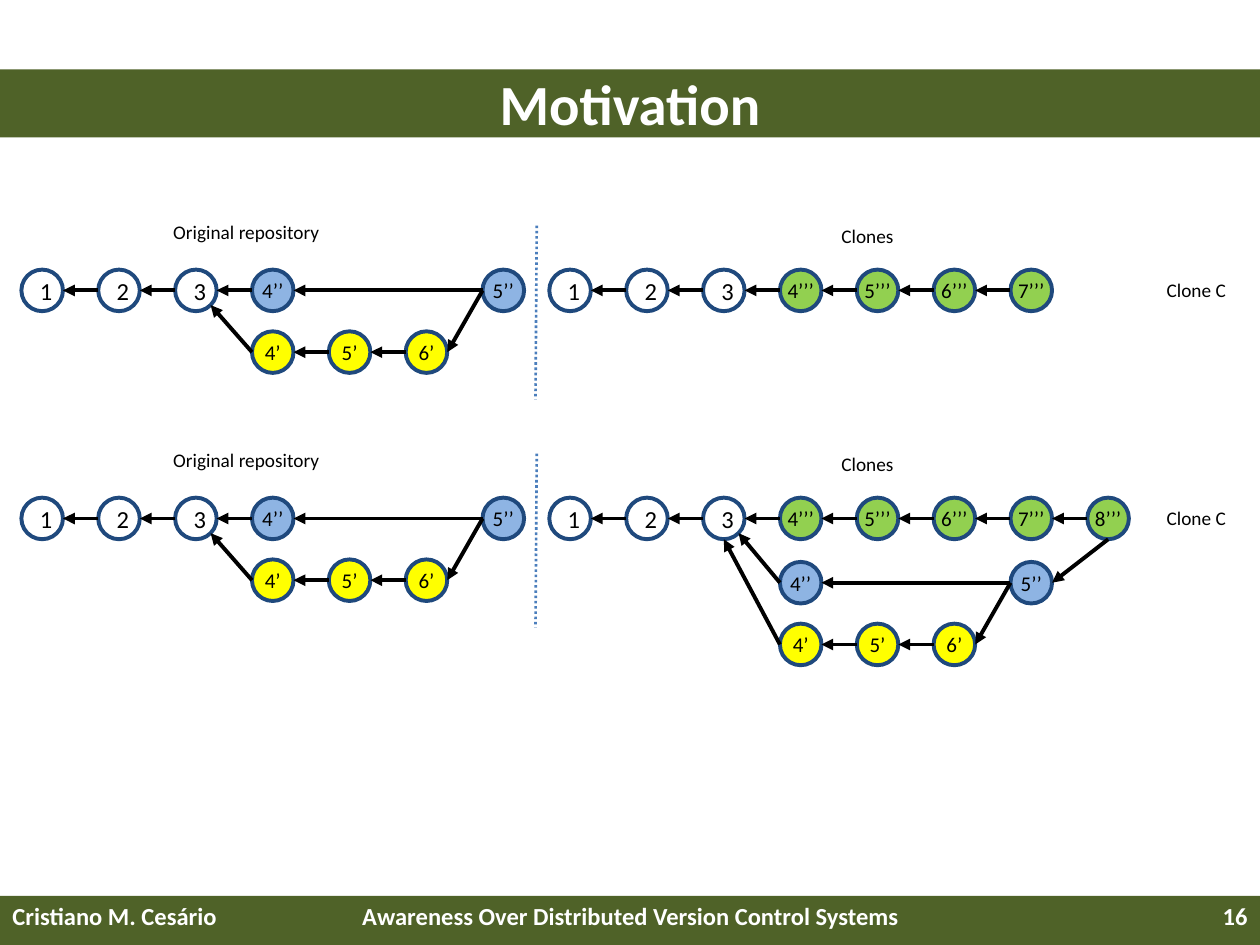
from math import sqrt
from pptx import Presentation
from pptx.dml.color import RGBColor
from pptx.enum.dml import MSO_LINE
from pptx.enum.shapes import MSO_CONNECTOR, MSO_SHAPE
from pptx.enum.text import MSO_ANCHOR, PP_ALIGN
from pptx.oxml.ns import qn
from pptx.util import Inches, Pt
from lxml.etree import SubElement

THEME = {
    "font": "Calibri", "band": "4F6228", "white": "FFFFFF", "black": "000000",
    "outline": "1F497D", "divider": "4B7EBC",
    "blue": "8EB4E3", "green": "92D050", "yellow": "FFFF00",
    "title_size": 32.4, "footer_size": 14, "label_size": 11,
    "trunk_size": 14, "commit_size": 12, "line": 2.25, "divider_line": 1.5,
}

TITLE = "Motivation"
FOOTERS = [  # text, left, width, alignment
    ("Cristiano M. Cesário", 0, 2.33, PP_ALIGN.LEFT),
    ("Awareness Over Distributed Version Control Systems", 2.42, 5.17, PP_ALIGN.CENTER),
    ("16", 7.67, 2.33, PP_ALIGN.RIGHT),
]
LABELS = [  # text, left, top within the stage, width
    ("Original repository", 1.24, 0, 1.43),
    ("Clones", 6.17, 0.03, 1.43),
    ("Clone C", 9.08, 0.46, 0.83),
]

# Commits: label, column, row, fill. Parents: child, parent, leaving side, arriving side.
TRUNK = [("1", 0, 0, None), ("2", 1, 0, None), ("3", 2, 0, None)]
TRUNK_PARENTS = [("2", "1"), ("3", "2")]
BRANCH_PARENTS = [
    ("5’", "4’"), ("6’", "5’"), ("5’’", "4’’"), ("5’’", "6’"),
]
ORIGINAL = (
    TRUNK + [
        ("4’’", 3, 0, "blue"), ("5’’", 6, 0, "blue"),
        ("4’", 3, 1, "yellow"), ("5’", 4, 1, "yellow"), ("6’", 5, 1, "yellow"),
    ],
    TRUNK_PARENTS + BRANCH_PARENTS + [
        ("4’’", "3"), ("4’", "3", "left", "lower right"),
    ],
)
CLONE = (
    TRUNK + [
        ("4’’’", 3, 0, "green"), ("5’’’", 4, 0, "green"),
        ("6’’’", 5, 0, "green"), ("7’’’", 6, 0, "green"),
    ],
    TRUNK_PARENTS + [
        ("4’’’", "3"), ("5’’’", "4’’’"), ("6’’’", "5’’’"), ("7’’’", "6’’’"),
    ],
)
MERGED_CLONE = (
    CLONE[0] + [
        ("8’’’", 7, 0, "green"), ("4’’", 3, 1, "blue"), ("5’’", 6, 1, "blue"),
        ("4’", 3, 2, "yellow"), ("5’", 4, 2, "yellow"), ("6’", 5, 2, "yellow"),
    ],
    CLONE[1] + BRANCH_PARENTS + [
        ("8’’’", "7’’’"), ("8’’’", "5’’", "bottom", "right"),
        ("4’’", "3", "left", "lower right"), ("4’", "3", "left", "bottom"),
    ],
)
STAGES = [(1.64, CLONE), (3.45, MERGED_CLONE)]  # top, clone graph

DIAMETER, COLUMN_STEP, GRAPH_DROP = 0.33, 0.61, 0.5
ORIGINAL_LEFT, CLONE_LEFT = 0.17, 4.36
ORIGINAL_ROWS, CLONE_ROWS = (0, 0.49), (0, 0.51, 1.0)
SIDES = {  # direction from a commit's centre, in radii
    "left": (-1, 0), "right": (1, 0), "bottom": (0, 1),
    "lower right": (1 / sqrt(2), 1 / sqrt(2)),
}


def color(name):
    return RGBColor.from_string(THEME[name])


def write(shape, text, size, ink="black", bold=False, align=PP_ALIGN.CENTER,
          anchor=MSO_ANCHOR.MIDDLE, wrap=True, side_margin=0.1):
    frame = shape.text_frame
    frame.word_wrap = wrap
    frame.vertical_anchor = anchor
    frame.margin_left = frame.margin_right = Inches(side_margin)
    para = frame.paragraphs[0]
    para.alignment = align
    span = para.add_run()
    span.text = text
    span.font.name = THEME["font"]
    span.font.size = Pt(THEME[size])
    span.font.bold = bold
    span.font.color.rgb = color(ink)


def add_text(page, text, left, top, width, size, **style):
    box = page.shapes.add_textbox(Inches(left), Inches(top), Inches(width), Inches(0.4))
    write(box, text, size, **style)


def add_band(page, top, height):
    band = page.shapes.add_shape(
        MSO_SHAPE.RECTANGLE, 0, Inches(top), Inches(10), Inches(height))
    band.shadow.inherit = False
    band.fill.solid()
    band.fill.fore_color.rgb = color("band")
    band.line.fill.background()
    return band


def add_line(page, start, end, ink, width):
    line = page.shapes.add_connector(
        MSO_CONNECTOR.STRAIGHT, *(Inches(value) for value in (*start, *end)))
    line.line.color.rgb = color(ink)
    line.line.width = Pt(THEME[width])
    SubElement(line._element.spPr, qn("a:effectLst"))
    return line


def add_arrow(page, start, end):
    arrow = add_line(page, start, end, "black", "line")
    SubElement(arrow.line._get_or_add_ln(), qn("a:tailEnd"), type="triangle")


def add_commit(page, label, left, top, fill):
    commit = page.shapes.add_shape(
        MSO_SHAPE.OVAL, Inches(left), Inches(top), Inches(DIAMETER), Inches(DIAMETER))
    commit.shadow.inherit = False
    commit.line.color.rgb = color("outline")
    commit.line.width = Pt(THEME["line"])
    if fill:
        commit.fill.solid()
        commit.fill.fore_color.rgb = color(fill)
        write(commit, label, "commit_size", wrap=False, side_margin=0)
    else:
        commit.fill.background()
        write(commit, label, "trunk_size")


def add_graph(page, graph, left, top, rows):
    commits, parents = graph
    radius = DIAMETER / 2
    centers = {}
    for label, column, row, fill in commits:
        x, y = left + column * COLUMN_STEP, top + rows[row]
        centers[label] = (x + radius, y + radius)
        add_commit(page, label, x, y, fill)

    def point(label, side):
        return [center + radius * step for center, step in zip(centers[label], SIDES[side])]

    for child, parent, *sides in parents:
        leaving, arriving = sides or ("left", "right")
        add_arrow(page, point(child, leaving), point(parent, arriving))


def add_stage(page, top, clone):
    divider = add_line(page, (4.26, top + 0.15), (4.25, top + 1.53), "divider", "divider_line")
    divider.line.dash_style = MSO_LINE.ROUND_DOT
    for text, left, drop, width in LABELS:
        add_text(page, text, left, top + drop, width, "label_size")
    add_graph(page, ORIGINAL, ORIGINAL_LEFT, top + GRAPH_DROP, ORIGINAL_ROWS)
    add_graph(page, clone, CLONE_LEFT, top + GRAPH_DROP, CLONE_ROWS)


def main():
    deck = Presentation()
    deck.slide_width, deck.slide_height = Inches(10), Inches(7.5)
    page = deck.slides.add_slide(deck.slide_layouts[6])
    add_band(page, 7.11, 0.39)
    for text, left, width, align in FOOTERS:
        add_text(page, text, left, 7.1, width, "footer_size", ink="white", bold=True,
                 align=align, anchor=MSO_ANCHOR.TOP)
    write(add_band(page, 0.55, 0.54), TITLE, "title_size", ink="white", bold=True)
    for top, clone in STAGES:
        add_stage(page, top, clone)
    deck.save("out.pptx")


if __name__ == "__main__":
    main()
